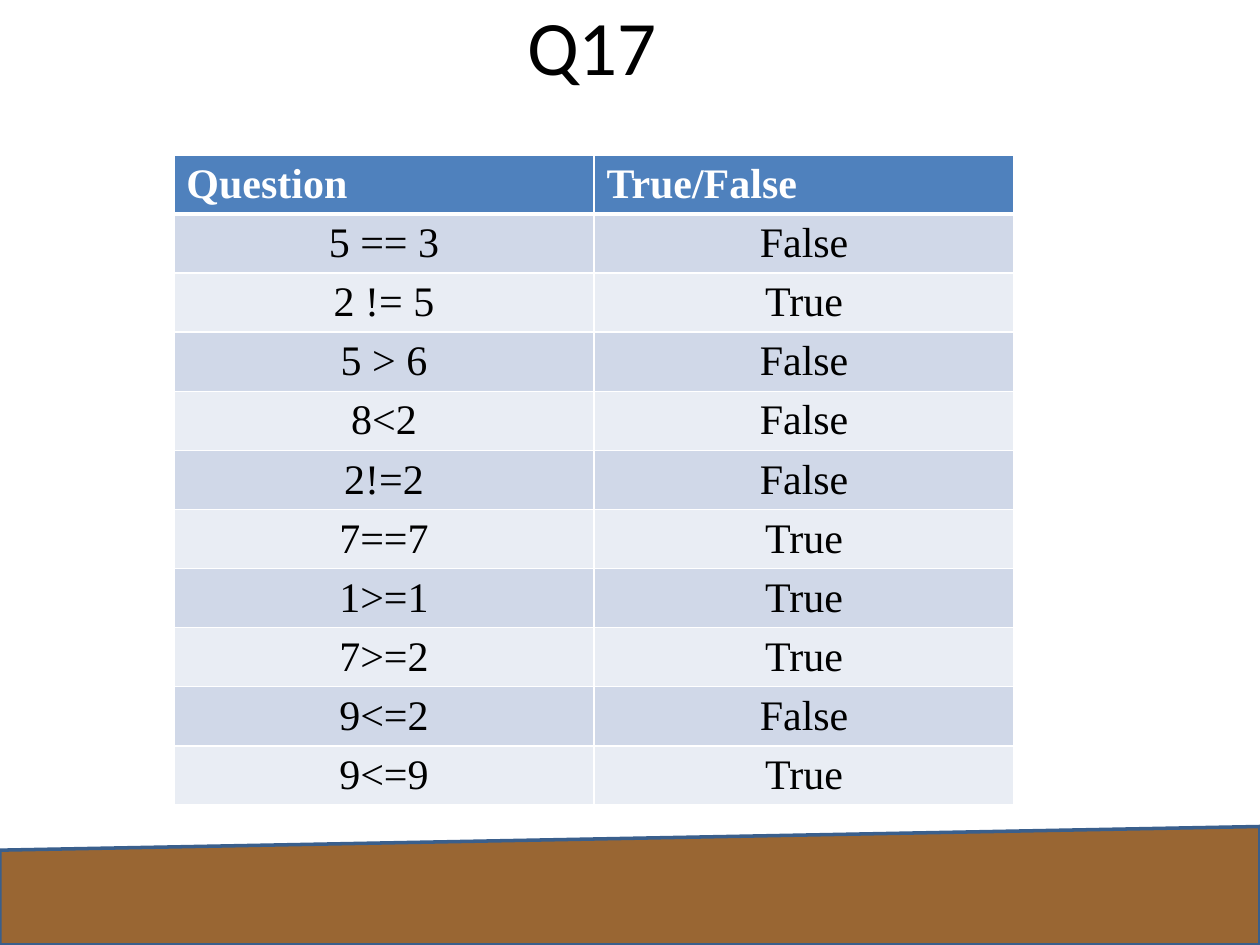
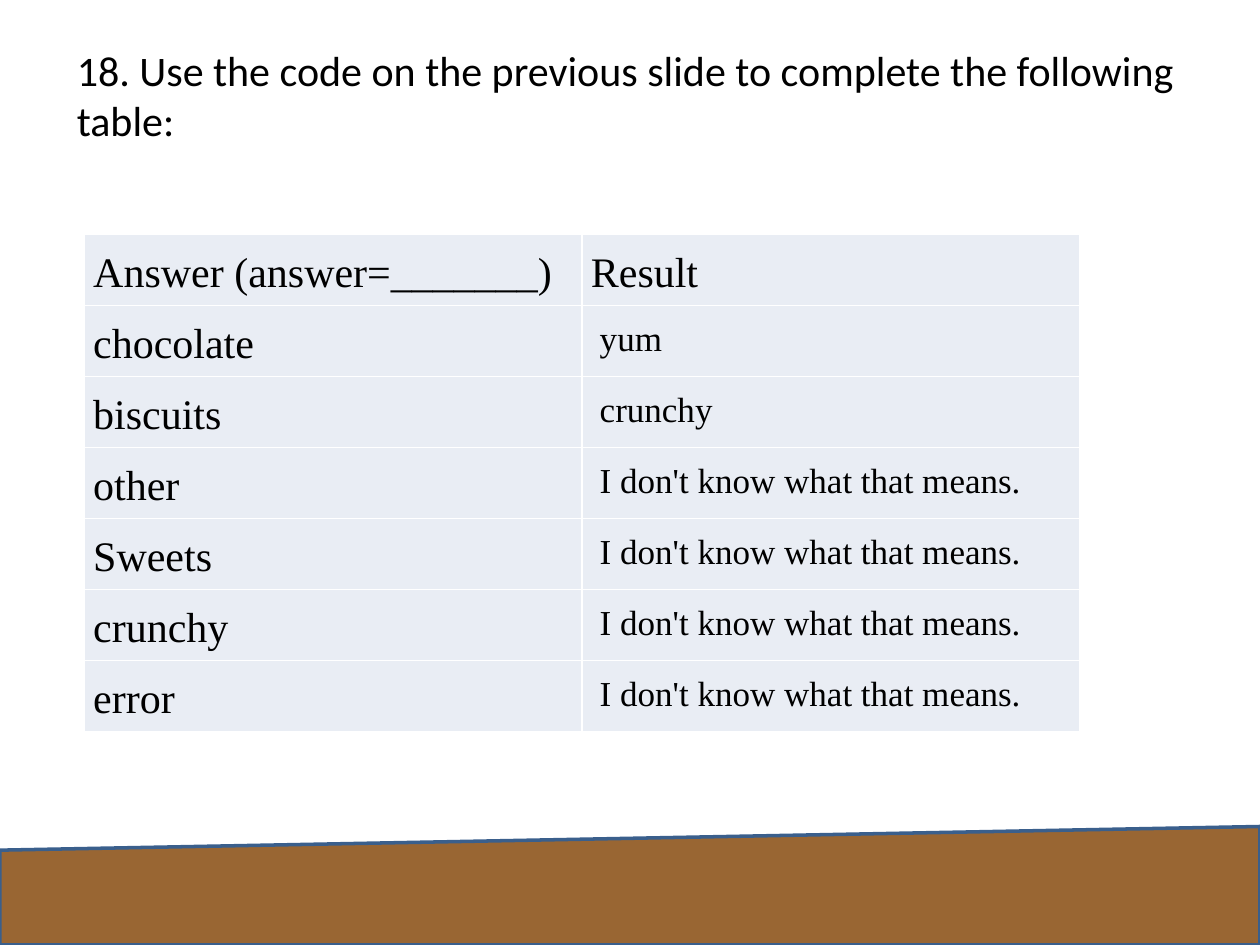
from lxml import etree
from pptx import Presentation
from pptx.dml.color import RGBColor
from pptx.enum.shapes import MSO_SHAPE
from pptx.enum.text import MSO_ANCHOR, MSO_AUTO_SIZE, PP_ALIGN
from pptx.oxml.ns import qn
from pptx.util import Inches, Pt

LEFT, CENTER = PP_ALIGN.LEFT, PP_ALIGN.CENTER
TOP, MIDDLE = MSO_ANCHOR.TOP, MSO_ANCHOR.MIDDLE
NO_AUTOFIT = MSO_AUTO_SIZE.NONE
SLOPED_BAND = MSO_SHAPE.FLOWCHART_MANUAL_INPUT

TITLE_FONT, TABLE_FONT = "Calibri", "Times New Roman"
BLACK, WHITE = "000000", "FFFFFF"
BROWN, BAND_LINE = "996633", "3A5F8C"
HEADER_BLUE, DARK_ROW, LIGHT_ROW = "4F81BD", "D0D8E8", "E9EDF4"

UNKNOWN = "I don't know what that means."
COMPARISONS = [
    ("5 == 3", "False"),
    ("2 != 5", "True"),
    ("5 > 6", "False"),
    ("8<2", "False"),
    ("2!=2", "False"),
    ("7==7", "True"),
    ("1>=1", "True"),
    ("7>=2", "True"),
    ("9<=2", "False"),
    ("9<=9", "True"),
]
ANSWERS = [
    ("chocolate", "yum"),
    ("biscuits", "crunchy"),
    ("other", UNKNOWN),
    ("Sweets", UNKNOWN),
    ("crunchy", UNKNOWN),
    ("error", UNKNOWN),
]


def color(value):
    return RGBColor.from_string(value)


def write(frame, text, font=TABLE_FONT, size=24, ink=BLACK, bold=False,
          align=LEFT, spacing=None):
    para = frame.paragraphs[0]
    para.alignment = align
    para.line_spacing = spacing
    span = para.add_run()
    span.text = text
    span.font.name = font
    span.font.size = Pt(size)
    span.font.bold = bold
    span.font.color.rgb = color(ink)


def add_band(page):
    band = page.shapes.add_shape(SLOPED_BAND, 0, Inches(6.56), Inches(10), Inches(0.94))
    band.shadow.inherit = False
    band.fill.solid()
    band.fill.fore_color.rgb = color(BROWN)
    band.line.color.rgb = color(BAND_LINE)
    band.line.width = Pt(2)
    page.slide_layout.shapes.element.insert(2, band.element)


def add_title(page, text, left, top, width, height, anchor=MIDDLE, **style):
    title = page.shapes.title
    title.left, title.top = Inches(left), Inches(top)
    title.width, title.height = Inches(width), Inches(height)
    frame = title.text_frame
    frame.word_wrap = True
    frame.auto_size = NO_AUTOFIT
    frame.vertical_anchor = anchor
    write(frame, text, font=TITLE_FONT, **style)


def set_borders(cell, top=1, bottom=1):
    properties = cell._tc.get_or_add_tcPr()
    for side, width in (("L", 1), ("R", 1), ("T", top), ("B", bottom)):
        line = etree.SubElement(properties, qn(f"a:ln{side}"), w=str(Pt(width)))
        fill = etree.SubElement(line, qn("a:solidFill"))
        etree.SubElement(fill, qn("a:srgbClr"), val=WHITE)


def format_cell(cell, text, fill, top=1, bottom=1, **style):
    set_borders(cell, top, bottom)
    cell.fill.solid()
    cell.fill.fore_color.rgb = color(fill)
    write(cell.text_frame, text, **style)


def add_table(page, row_count, left, top, width, row_height):
    frame = page.shapes.add_table(row_count, 2, Inches(left), Inches(top),
                                  Inches(width), Inches(row_height * row_count))
    table = frame.table
    table.first_row = False
    table.horz_banding = False
    return table


def add_comparison_table(page):
    table = add_table(page, len(COMPARISONS) + 1, 1.38, 1.23, 6.67, 0.41)
    for column, heading in enumerate(("Question", "True/False")):
        format_cell(table.cell(0, column), heading, HEADER_BLUE, bottom=3,
                    ink=WHITE, bold=True)
    for row, texts in enumerate(COMPARISONS, start=1):
        for column, text in enumerate(texts):
            format_cell(table.cell(row, column), text,
                        DARK_ROW if row % 2 else LIGHT_ROW,
                        top=3 if row == 1 else 1, align=CENTER)


def add_answer_table(page):
    rows = [("Answer (answer=_______)", "Result")] + ANSWERS
    table = add_table(page, len(rows), 0.67, 1.86, 7.9, 0.56)
    for row, texts in enumerate(rows):
        for column, text in enumerate(texts):
            is_result = row > 0 and column == 1
            cell = table.cell(row, column)
            cell.margin_top = cell.margin_bottom = cell.margin_right = Inches(0.07)
            cell.margin_left = Inches(0.14 if is_result else 0.07)
            format_cell(cell, text, LIGHT_ROW, size=20 if is_result else 24,
                        spacing=1.15)


def main():
    deck = Presentation()
    deck.slide_width, deck.slide_height = Inches(10), Inches(7.5)
    title_only = deck.slide_layouts[5]

    page = deck.slides.add_slide(title_only)
    add_band(page)
    add_title(page, "Q17", 0.2, -0.27, 9, 1.25, size=44, align=CENTER)
    add_comparison_table(page)

    page = deck.slides.add_slide(title_only)
    add_title(page, "18. Use the code on the previous slide to complete the following table:",
              0.51, 0.3, 9, 1, anchor=TOP)
    add_answer_table(page)

    deck.save("out.pptx")


if __name__ == "__main__":
    main()
